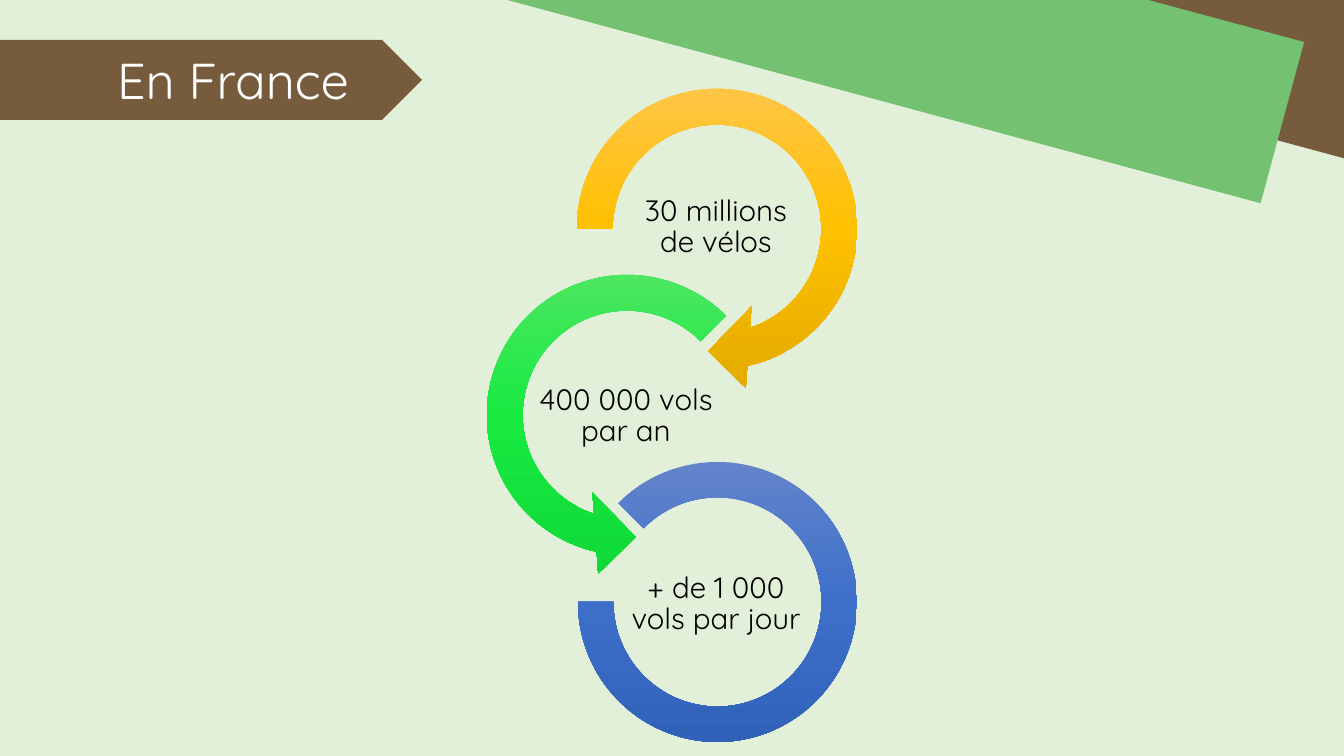
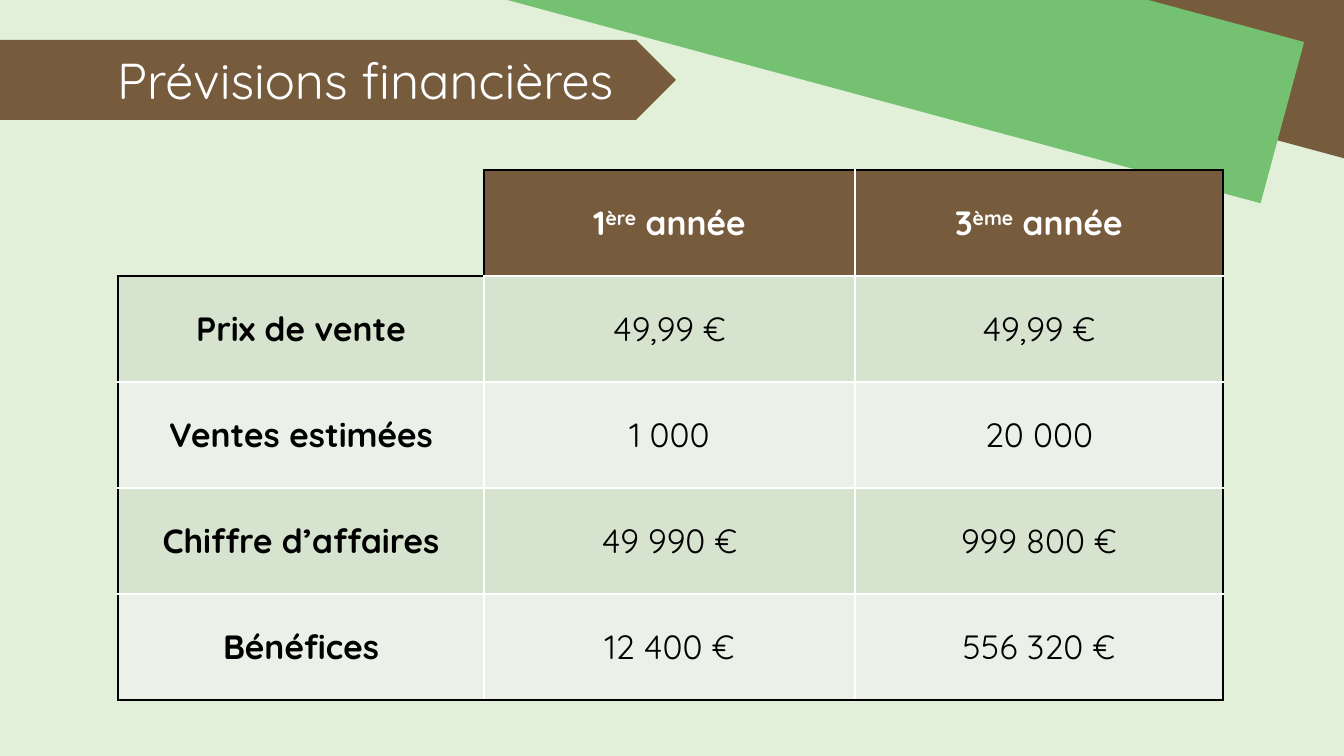
import copy
import pptx
import pptx.util
import pptx.dml.color
import pptx.enum.shapes
import pptx.enum.text
import pptx.oxml
import pptx.oxml.ns

RGB = pptx.dml.color.RGBColor
KIND = pptx.enum.shapes.MSO_SHAPE
ALIGN = pptx.enum.text.PP_ALIGN
ANCHOR = pptx.enum.text.MSO_ANCHOR
FIT = pptx.enum.text.MSO_AUTO_SIZE

PALE = RGB(0xE2, 0xF0, 0xD9)
BROWN = RGB(0x77, 0x5B, 0x3D)
GREEN = RGB(0x75, 0xC1, 0x72)
WHITE = RGB(0xFF, 0xFF, 0xFF)
BLACK = RGB(0, 0, 0)
DARK_ROW = RGB(0xD5, 0xE3, 0xCF)
LIGHT_ROW = RGB(0xEB, 0xF1, 0xE9)
GOLDS = RGB(0xFF, 0xC7, 0x52), RGB(0xFF, 0xC0, 0x00), RGB(0xE3, 0xAB, 0x00)
LIMES = RGB(0x53, 0xE6, 0x65), RGB(0x19, 0xEA, 0x42), RGB(0x0E, 0xD9, 0x36)
BLUES = RGB(0x63, 0x84, 0xCB), RGB(0x3E, 0x70, 0xCA), RGB(0x31, 0x62, 0xBA)

FONT = "Quicksand"
PIXEL = 914400 / 100.8
WIDE, HIGH = 1344, 756

# Title, plate width, title width
FRANCE = ("En France", 423, 296)
PLANS = ("Prévisions financières", 677, 531)

BANDS = [((664, -81, 846, 167), BROWN), ((451, -71, 846, 167), GREEN)]
TILT = 15.1

# Text, text corner, outline, outline box, adjustments, colours
RINGS = [
    ("30 millions de vélos", (626, 182), KIND.CIRCULAR_ARROW,
     (554, 66, 326, 326), (0.11, 11.42, 45, 108, 0.125), GOLDS),
    ("400 000 vols par an", (536, 371), KIND.LEFT_CIRCULAR_ARROW,
     (464, 252, 326, 326), (0.11, 11.42, 63, 189, 0.125), LIMES),
    ("+ de 1 000 vols par jour", (626, 559), KIND.BLOCK_ARC,
     (578, 462, 279, 280), (135, 108, 0.127), BLUES),
]
LABEL = (180, 91)

# Text between carets is raised
ROWS = [
    ("", "1^ère^ année", "3^ème^ année"),
    ("Prix de vente", "49,99 €", "49,99 €"),
    ("Ventes estimées", "1 000", "20 000"),
    ("Chiffre d’affaires", "49 990 €", "999 800 €"),
    ("Bénéfices", "12 400 €", "556 320 €"),
]
COLS = (366, 371, 368)
ROW = 106
GRID = (118, 170)
SIDES = [("L", 0, -1), ("R", 0, 1), ("T", -1, 0), ("B", 1, 0)]


def px(num):
    """Turn pixels into EMU."""
    return pptx.util.Emu(round(num * PIXEL))


def box(*nums):
    """Turn a row of pixel lengths into EMU."""
    return [px(num) for num in nums]


def style(item, **vals):
    """Set each named value on the item."""
    for name, val in vals.items():
        setattr(item, name, val)


def write(para, text, size, color, bold=False, align=ALIGN.CENTER):
    """Fill a paragraph, raising the parts between carets."""
    para.alignment = align
    for num, part in enumerate(text.split("^")):
        run = para.add_run()
        run.text = part
        style(run.font, name=FONT, size=pptx.util.Pt(size), bold=bold)
        run.font.color.rgb = color
        if num % 2:
            run.font._element.set("baseline", "30000")


def shape(slide, kind, place, color=None):
    """Add a preset shape with no line or shadow."""
    part = slide.shapes.add_shape(kind, *box(*place))
    part.shadow.inherit = False
    part.line.fill.background()
    if color is not None:
        part.fill.solid()
        part.fill.fore_color.rgb = color
    return part


def start(deck, title, plate, width):
    """Add a slide with its bands, plate and title."""
    slide = deck.slides.add_slide(deck.slide_layouts[5])
    for place, color in BANDS:
        shape(slide, KIND.RECTANGLE, place, color).rotation = TILT
    shape(slide, KIND.PENTAGON, (-1, 40, plate, 80), BROWN)
    head = slide.shapes.title
    left, top, wide, high = box(107, 44, width, 72)
    style(head, left=left, top=top, width=wide, height=high)
    style(head.text_frame, word_wrap=True, auto_size=FIT.NONE,
          vertical_anchor=ANCHOR.TOP)
    write(head.text_frame.paragraphs[0], title, 36, WHITE, align=ALIGN.LEFT)
    slide.shapes.element.append(head.element)
    return slide


def shade(part, colors):
    """Fill a shape from top to bottom through three colours."""
    part.fill.gradient()
    part.fill.gradient_angle = 270
    stops = part.element.find(".//" + pptx.oxml.ns.qn("a:gsLst"))
    stops.insert(1, copy.deepcopy(stops[0]))
    for num, stop in enumerate(part.fill.gradient_stops):
        stop.position = num / 2
        stop.color.rgb = colors[num]


def ring(slide, text, corner, kind, place, adjust, colors):
    """Add one ring and the text inside it."""
    part = shape(slide, kind, place)
    for num, val in enumerate(adjust):
        part.adjustments[num] = val
    shade(part, colors)
    frame = slide.shapes.add_textbox(*box(*corner, *LABEL)).text_frame
    gap = px(1)
    style(frame, word_wrap=True, vertical_anchor=ANCHOR.MIDDLE,
          margin_left=gap, margin_right=gap, margin_top=gap,
          margin_bottom=gap)
    frame.paragraphs[0].line_spacing = 0.9
    write(frame.paragraphs[0], text, 21, BLACK)


def filled(row, col):
    """Tell whether a grid position holds a filled cell."""
    inside = 0 <= row < len(ROWS) and 0 <= col < len(COLS)
    return inside and (row, col) != (0, 0)


def edge(cell, row, col):
    """Draw black lines around the filled cells, white ones between."""
    props = cell._tc.get_or_add_tcPr()
    for num, (side, down, over) in enumerate(SIDES):
        count = filled(row, col) + filled(row + down, col + over)
        color = (None, BLACK, WHITE)[count]
        paint = "<a:noFill/>"
        if color is not None:
            paint = f'<a:solidFill><a:srgbClr val="{color}"/></a:solidFill>'
        space = pptx.oxml.ns.nsdecls("a")
        props.insert(num, pptx.oxml.parse_xml(
            f'<a:ln{side} {space} w="12700">{paint}</a:ln{side}>'))


def grid(slide):
    """Add the table of forecasts."""
    place = box(*GRID, sum(COLS), ROW * len(ROWS))
    table = slide.shapes.add_table(len(ROWS), len(COLS), *place).table
    style(table, first_row=False, horz_banding=False)
    for col, width in enumerate(COLS):
        table.columns[col].width = px(width)
    for row, texts in enumerate(ROWS):
        table.rows[row].height = px(ROW)
        back = BROWN if row == 0 else (LIGHT_ROW, DARK_ROW)[row % 2]
        for col, text in enumerate(texts):
            cell = table.cell(row, col)
            cell.vertical_anchor = ANCHOR.MIDDLE
            if text:
                cell.fill.solid()
                cell.fill.fore_color.rgb = back
                write(cell.text_frame.paragraphs[0], text, 24,
                      BLACK if row else WHITE, row == 0 or col == 0)
            else:
                cell.fill.background()
            edge(cell, row, col)


def main():
    """Build and save both slides."""
    deck = pptx.Presentation()
    style(deck, slide_width=px(WIDE), slide_height=px(HIGH))
    back = deck.slide_master.background.fill
    back.solid()
    back.fore_color.rgb = PALE
    slide = start(deck, *FRANCE)
    for item in RINGS:
        ring(slide, *item)
    grid(start(deck, *PLANS))
    deck.save("out.pptx")


main()
